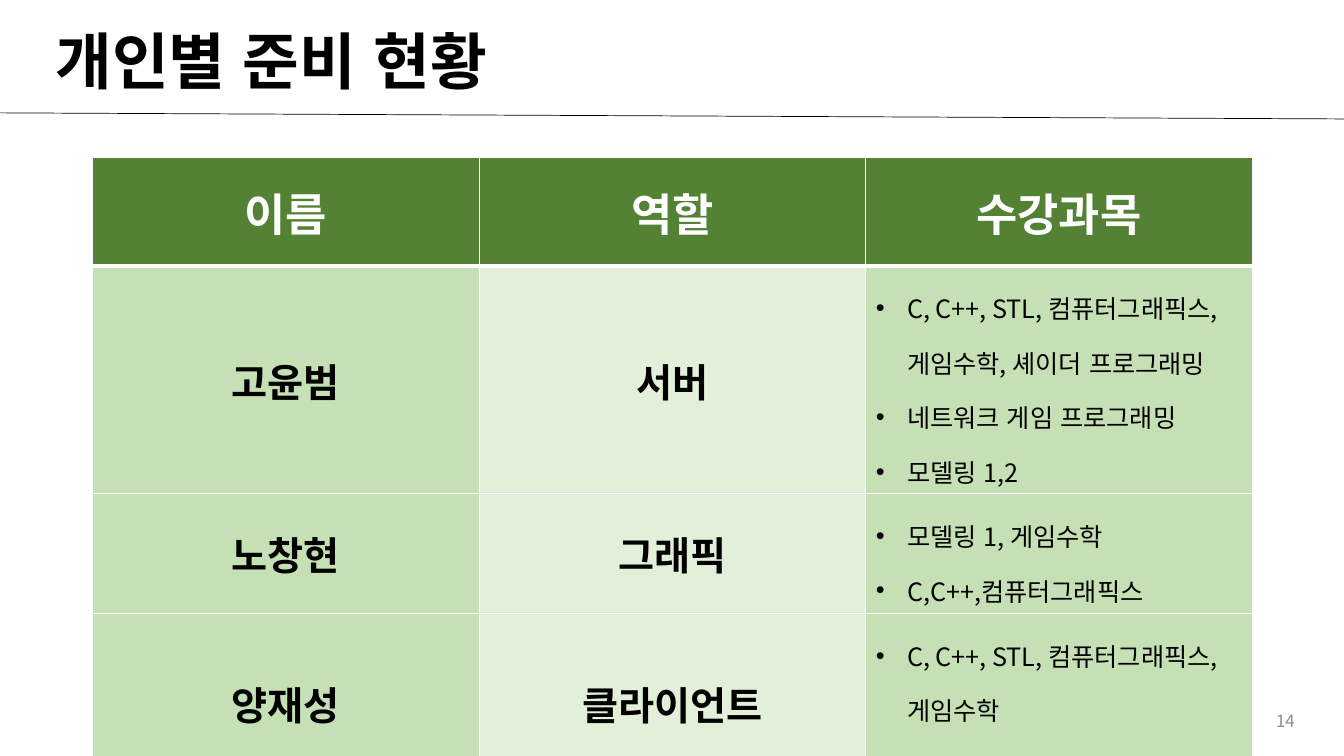
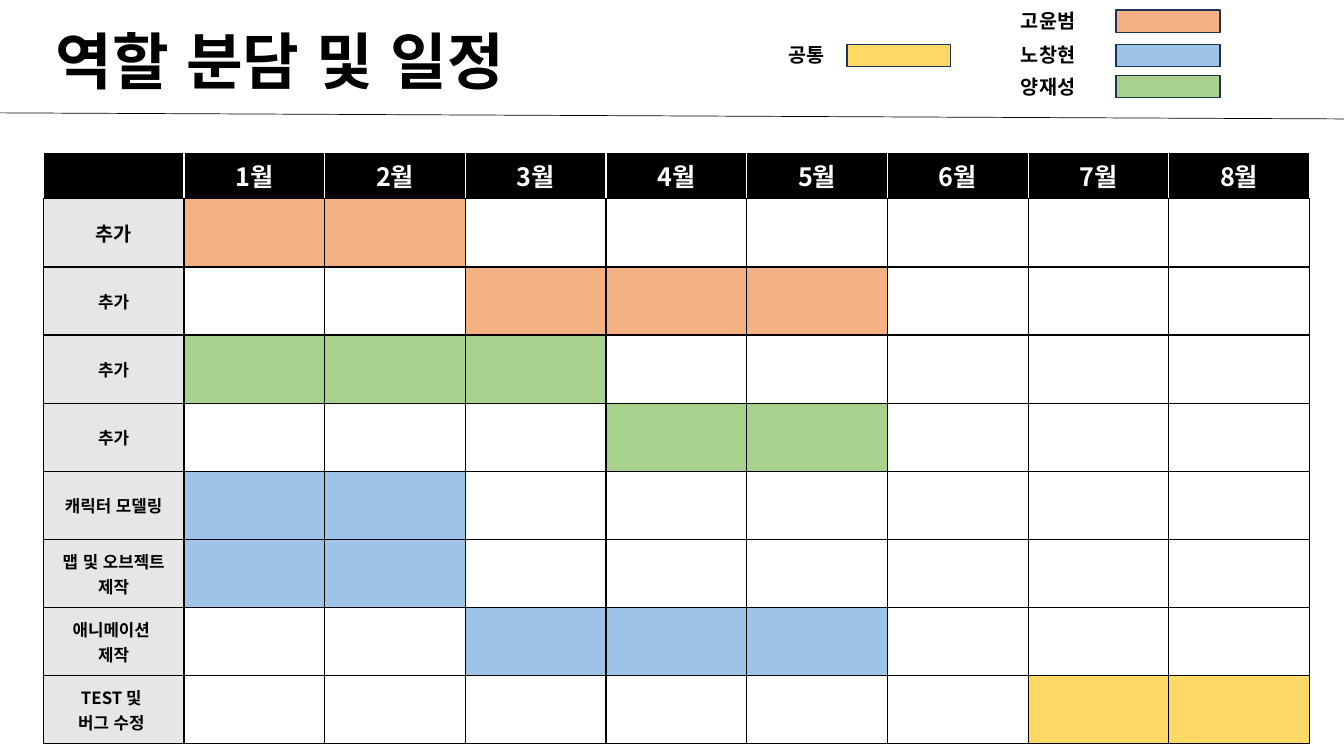
"""Build the team readiness table and the role schedule slides."""
from dataclasses import dataclass

from lxml import etree
from pptx import Presentation
from pptx.dml.color import RGBColor
from pptx.enum import lang, shapes, text
from pptx.oxml import ns
from pptx.util import Inches, Pt

FONT = "Noto Sans CJK KR"
COLORS = {
    "black": "000000",
    "white": "FFFFFF",
    "page": "8C8C8C",
    "header": "548235",
    "band": "C5E0B4",
    "band_light": "E2F0D9",
    "task": "E7E6E6",
    "server": "F4B183",
    "graphics": "9DC3E6",
    "client": "A9D18E",
    "common": "FFD966",
    "outline": "1E3256",
}
SIDES = ("L", "R", "T", "B")
MONTHS = 8
CENTER = text.PP_ALIGN.CENTER


@dataclass
class Member:
    name: str
    role: str
    courses: list[str]
    height: float


@dataclass
class Task:
    label: str
    owner: str
    first: int
    last: int
    size: int = 12


@dataclass
class LegendEntry:
    label: str
    owner: str
    label_left: float
    label_width: float
    bar_left: float
    top: float


@dataclass
class Border:
    color: str
    width: float = 1


MEMBERS = [
    Member("고윤범", "서버", ["C, C++, STL, 컴퓨터그래픽스, 게임수학, 셰이더 프로그래밍",
                          "네트워크 게임 프로그래밍", "모델링 1,2"], 2.26),
    Member("노창현", "그래픽", ["모델링 1, 게임수학", "C,C++,컴퓨터그래픽스"], 1.19),
    Member("양재성", "클라이언트", ["C, C++, STL, 컴퓨터그래픽스, 게임수학"], 1.77),
]
TASKS = [
    Task("추가", "server", 1, 2, 14),
    Task("추가", "server", 3, 5),
    Task("추가", "client", 1, 3),
    Task("추가", "client", 4, 5),
    Task("캐릭터 모델링", "graphics", 1, 2),
    Task("맵 및 오브젝트 제작", "graphics", 1, 2),
    Task("애니메이션 \n제작", "graphics", 3, 5),
    Task("TEST 및 \n버그 수정 ", "common", 7, 8),
]
LEGEND = [
    LegendEntry("고윤범", "server", 10, 0.79, 11.07, 0.04),
    LegendEntry("노창현", "graphics", 10, 0.79, 11.07, 0.38),
    LegendEntry("양재성", "client", 10, 0.79, 11.07, 0.69),
    LegendEntry("공통", "common", 7.7, 0.59, 8.4, 0.38),
]


def rgb(name: str) -> RGBColor:
    return RGBColor.from_string(COLORS[name])


def write(paragraph, content: str, size: float, color: str = "black",
          bold: bool = True, align=CENTER) -> None:
    paragraph.text = content
    paragraph.alignment = align
    for run in paragraph.runs:
        run.font.name = FONT
        run.font.size = Pt(size)
        run.font.bold = bold
        run.font.language_id = lang.MSO_LANGUAGE_ID.KOREAN
        run.font.color.rgb = rgb(color)
        latin = run.font._element.find(ns.qn("a:latin"))
        latin.addnext(etree.Element(ns.qn("a:ea"), typeface=FONT))


def add_label(slide, content: str, left: float, top: float, width: float,
              height: float, size: float, **style):
    frame = slide.shapes.add_textbox(
        Inches(left), Inches(top), Inches(width), Inches(height)).text_frame
    frame.word_wrap = False
    write(frame.paragraphs[0], content, size, **style)
    return frame


def add_rule(slide) -> None:
    rule = slide.shapes.add_connector(
        shapes.MSO_CONNECTOR.STRAIGHT,
        Inches(0), Inches(1.12), Inches(13.33), Inches(1.18))
    rule.line.color.rgb = rgb("black")
    rule.line.width = Pt(0.5)
    etree.SubElement(rule._element.spPr, ns.qn("a:effectLst"))


def add_titled_slide(presentation, title: str):
    slide = presentation.slides.add_slide(presentation.slide_layouts[5])
    add_rule(slide)
    shape = slide.shapes.title
    shape.left, shape.top = Inches(0.45), Inches(0.17)
    shape.width, shape.height = Inches(6.12), Inches(0.84)
    frame = shape.text_frame
    frame.auto_size = text.MSO_AUTO_SIZE.NONE
    frame.vertical_anchor = text.MSO_ANCHOR.MIDDLE
    write(frame.paragraphs[0], title, 44, align=text.PP_ALIGN.LEFT)
    return slide


def add_grid(slide, left: float, top: float, width: float,
             column_count: int, row_heights: list[float]):
    table = slide.shapes.add_table(
        len(row_heights), column_count, Inches(left), Inches(top),
        Inches(width), Inches(sum(row_heights))).table
    table.first_row = table.horz_banding = False
    for column in table.columns:
        column.width = Inches(width / column_count)
    for row, height in zip(table.rows, row_heights):
        row.height = Inches(height)
    return table


def paint_cell(cell, fill: str, border: Border, **special: Border) -> None:
    cell.fill.solid()
    cell.fill.fore_color.rgb = rgb(fill)
    properties = cell._tc.get_or_add_tcPr()
    for position, side in enumerate(SIDES):
        edge = special.get(side, border)
        line = etree.Element(ns.qn(f"a:ln{side}"), w=str(Pt(edge.width)))
        solid = etree.SubElement(line, ns.qn("a:solidFill"))
        etree.SubElement(solid, ns.qn("a:srgbClr"), val=COLORS[edge.color])
        properties.insert(position, line)


def write_cell(cell, content: str, size: float, color: str = "black") -> None:
    cell.vertical_anchor = text.MSO_ANCHOR.MIDDLE
    write(cell.text_frame.paragraphs[0], content, size, color)


def write_bullets(cell, items: list[str]) -> None:
    frame = cell.text_frame
    frame.text = "\n".join(items)
    for paragraph, item in zip(frame.paragraphs, items):
        properties = paragraph._p.get_or_add_pPr()
        properties.set("marL", str(Inches(0.31)))
        properties.set("indent", str(Inches(-0.31)))
        etree.SubElement(properties, ns.qn("a:buFont"), typeface="Arial")
        etree.SubElement(properties, ns.qn("a:buChar"), char="•")
        paragraph.line_spacing = 1.5
        write(paragraph, item, 18, bold=False, align=text.PP_ALIGN.LEFT)


def build_readiness(presentation) -> None:
    slide = add_titled_slide(presentation, "개인별 준비 현황")
    page = add_label(slide, "14", 9.94, 6.95, 3, 0.4, 12, color="page",
                     bold=False, align=text.PP_ALIGN.RIGHT)
    page.word_wrap = True
    page.vertical_anchor = text.MSO_ANCHOR.MIDDLE
    table = add_grid(slide, 0.92, 1.56, 11.5, 3,
                     [1.08] + [member.height for member in MEMBERS])
    thin, thick = Border("white"), Border("white", 3)
    for column, heading in enumerate(("이름", "역할", "수강과목")):
        cell = table.cell(0, column)
        paint_cell(cell, "header", thin, B=thick)
        write_cell(cell, heading, 32, "white")
    for row, member in enumerate(MEMBERS, 1):
        for column, fill in enumerate(("band", "band_light", "band")):
            paint_cell(table.cell(row, column), fill, thin,
                       T=thick if row == 1 else thin)
        write_cell(table.cell(row, 0), member.name, 28)
        write_cell(table.cell(row, 1), member.role, 28)
        write_bullets(table.cell(row, 2), member.courses)


def add_legend_entry(slide, entry: LegendEntry) -> None:
    add_label(slide, entry.label, entry.label_left, entry.top,
              entry.label_width, 0.34, 14)
    bar = slide.shapes.add_shape(
        shapes.MSO_SHAPE.RECTANGLE, Inches(entry.bar_left),
        Inches(entry.top + 0.06), Inches(1.03), Inches(0.22))
    bar.shadow.inherit = False
    bar.fill.solid()
    bar.fill.fore_color.rgb = rgb(entry.owner)
    bar.line.color.rgb = rgb("outline")
    bar.line.width = Pt(1)


def build_schedule(presentation) -> None:
    slide = add_titled_slide(presentation, "역할 분담 및 일정")
    table = add_grid(slide, 0.43, 1.51, 12.56, MONTHS + 1,
                     [0.39] + [5.41 / len(TASKS)] * len(TASKS))
    black, white = Border("black"), Border("white")
    for month in range(MONTHS + 1):
        cell = table.cell(0, month)
        paint_cell(cell, "black", white, B=black)
        if month:
            write_cell(cell, f"{month}월", 18, "white")
    for row, task in enumerate(TASKS, 1):
        paint_cell(table.cell(row, 0), "task", black)
        write_cell(table.cell(row, 0), task.label, task.size)
        for month in range(1, MONTHS + 1):
            active = task.first <= month <= task.last
            paint_cell(table.cell(row, month),
                       task.owner if active else "white", black)
    for entry in LEGEND:
        add_legend_entry(slide, entry)


def main() -> None:
    presentation = Presentation()
    presentation.slide_width = Inches(13.33)
    presentation.slide_height = Inches(7.5)
    build_readiness(presentation)
    build_schedule(presentation)
    presentation.save("out.pptx")


if __name__ == "__main__":
    main()
